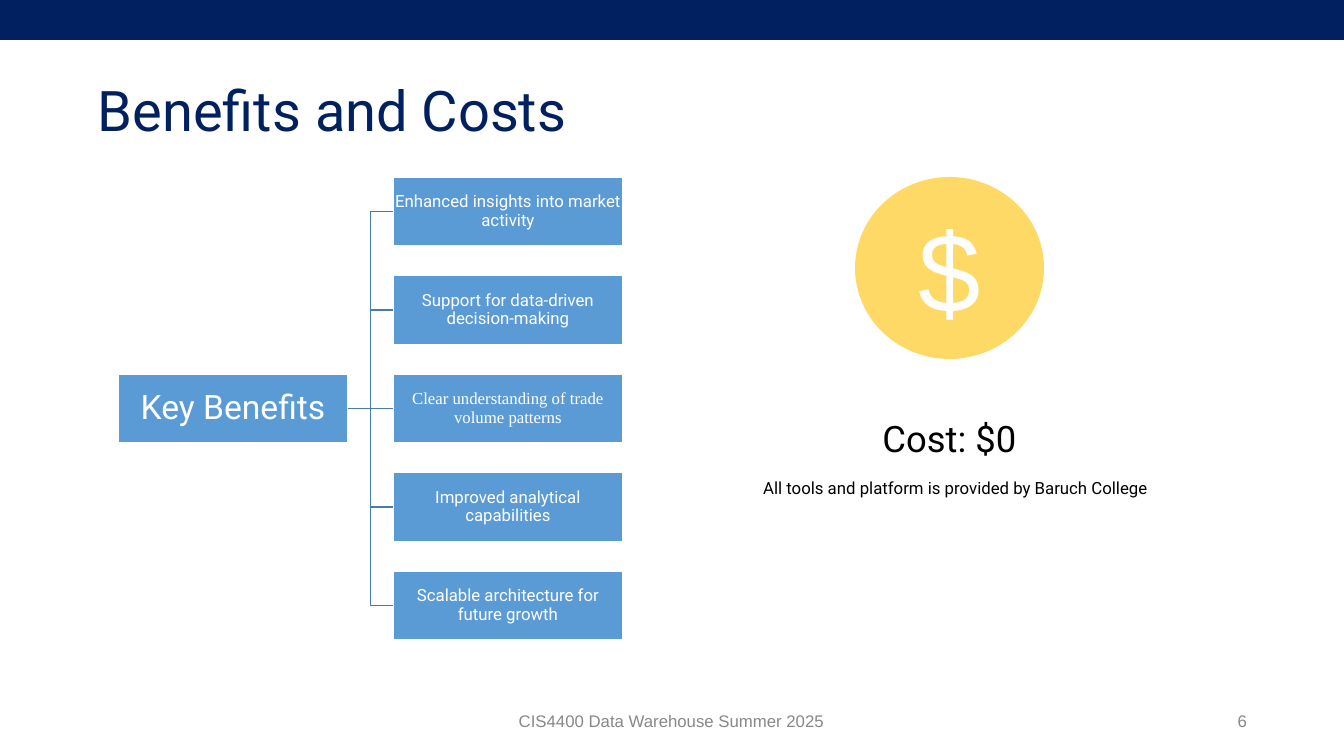
from lxml import etree
from pptx import Presentation
from pptx.dml.color import RGBColor
from pptx.enum.shapes import MSO_CONNECTOR as Link, MSO_SHAPE as Kind
from pptx.enum.text import MSO_ANCHOR as Anchor, MSO_AUTO_SIZE as Fit, PP_ALIGN as Align
from pptx.oxml.ns import qn
from pptx.util import Pt

TITLE = "Benefits and Costs"
ROOT = "Key Benefits"
BENEFITS = [
    ("Enhanced insights into market activity", "Roboto"),
    ("Support for data-driven decision-making", "Roboto"),
    ("Clear understanding of trade volume patterns", "Times New Roman"),
    ("Improved analytical capabilities", "Roboto"),
    ("Scalable architecture for future growth", "Roboto"),
]
COST = "Cost: $0"
NOTE = "All tools and platform is provided by Baruch College"
FOOTER = "CIS4400 Data Warehouse Summer 2025"
NUMBER = "6"

NAVY, BLUE, STEEL, GOLD = "002060", "5B9BD5", "487BA9", "FFD966"
WHITE, BLACK, GREY = "FFFFFF", "000000", "888888"
WIDE, HIGH = 1344, 756
ROOT_X, LEAF_X = 118, 393
FIRST_Y, LAST_Y = 177, 571
BOX_W, BOX_H = 230, 69


def px(n):
    return round(n * 914400 / 100.8)


def color(code):
    return RGBColor.from_string(code)


def style(para, size, tint, font="Roboto", align=Align.CENTER):
    para.alignment = align
    para.font.size = Pt(size)
    para.font.name = font
    para.font.color.rgb = color(tint)


def frame(shape, inset=5, anchor=Anchor.MIDDLE, wrap=True):
    """Set the insets, anchor and wrapping of a shape's text; return its frame."""
    text = shape.text_frame
    text.auto_size = Fit.NONE
    text.word_wrap = wrap
    text.vertical_anchor = anchor
    text.margin_left = text.margin_right = px(inset)
    text.margin_top = text.margin_bottom = px(inset)
    return text


def shape(kind, x, y, w, h, fill, edge=None):
    item = slide.shapes.add_shape(kind, px(x), px(y), px(w), px(h))
    item.shadow.inherit = False
    item.fill.solid()
    item.fill.fore_color.rgb = color(fill)
    if edge:
        item.line.color.rgb = color(edge)
        item.line.width = Pt(1)
    else:
        item.line.fill.background()
    return item


def box(words, x, y, size, font="Roboto"):
    item = shape(Kind.RECTANGLE, x, y, BOX_W, BOX_H, BLUE, WHITE)
    para = frame(item, 1).paragraphs[0]
    para.text = words
    para.line_spacing = 0.9
    style(para, size, WHITE, font)
    return item


def join(start, end):
    """Link the right side of one box to the left side of another."""
    kind = Link.STRAIGHT if start.top == end.top else Link.ELBOW
    line = slide.shapes.add_connector(kind, 0, 0, 0, 0)
    line.begin_connect(start, 3)
    line.end_connect(end, 1)
    line.line.color.rgb = color(STEEL)
    line.line.width = Pt(1)
    etree.SubElement(line._element.spPr, qn("a:effectLst"))


def label(words, x, y, w, h, align):
    item = slide.shapes.add_textbox(px(x), px(y), px(w), px(h))
    para = frame(item).paragraphs[0]
    para.text = words
    style(para, 12, GREY, "Arial", align)


deck = Presentation()
deck.slide_width, deck.slide_height = px(WIDE), px(HIGH)
slide = deck.slides.add_slide(deck.slide_layouts[5])

title = slide.shapes.title
title.left, title.top, title.width, title.height = px(93), px(40), px(1159), px(146)
head = frame(title).paragraphs[0]
head.text = TITLE
head.line_spacing = 0.9
style(head, 40, NAVY, align=Align.LEFT)

shape(Kind.RECTANGLE, 0, 0, WIDE, 40, NAVY)

step = (LAST_Y - FIRST_Y) / (len(BENEFITS) - 1)
root = box(ROOT, ROOT_X, (FIRST_Y + LAST_Y) / 2, 24)
for i, (words, font) in enumerate(BENEFITS):
    join(root, box(words, LEAF_X, FIRST_Y + i * step, 12, font))

coin = shape(Kind.OVAL, 855, 177, 189, 182, GOLD)
sign = frame(coin, wrap=False).paragraphs[0]
sign.text = "$"
style(sign, 80, WHITE, "Arial")

cost = slide.shapes.add_textbox(px(737), px(411), px(425), px(99))
text = frame(cost, anchor=Anchor.TOP)
text.text = COST
style(text.paragraphs[0], 26, BLACK)
note = text.add_paragraph()
note.text = NOTE
note.space_before = Pt(13)
note._p.get_or_add_pPr().set("marL", str(px(12)))
style(note, 12, BLACK)

label(FOOTER, 450, 706, 443, 30, Align.CENTER)
label(NUMBER, 1222, 706, 30, 30, Align.RIGHT)

deck.save("out.pptx")
